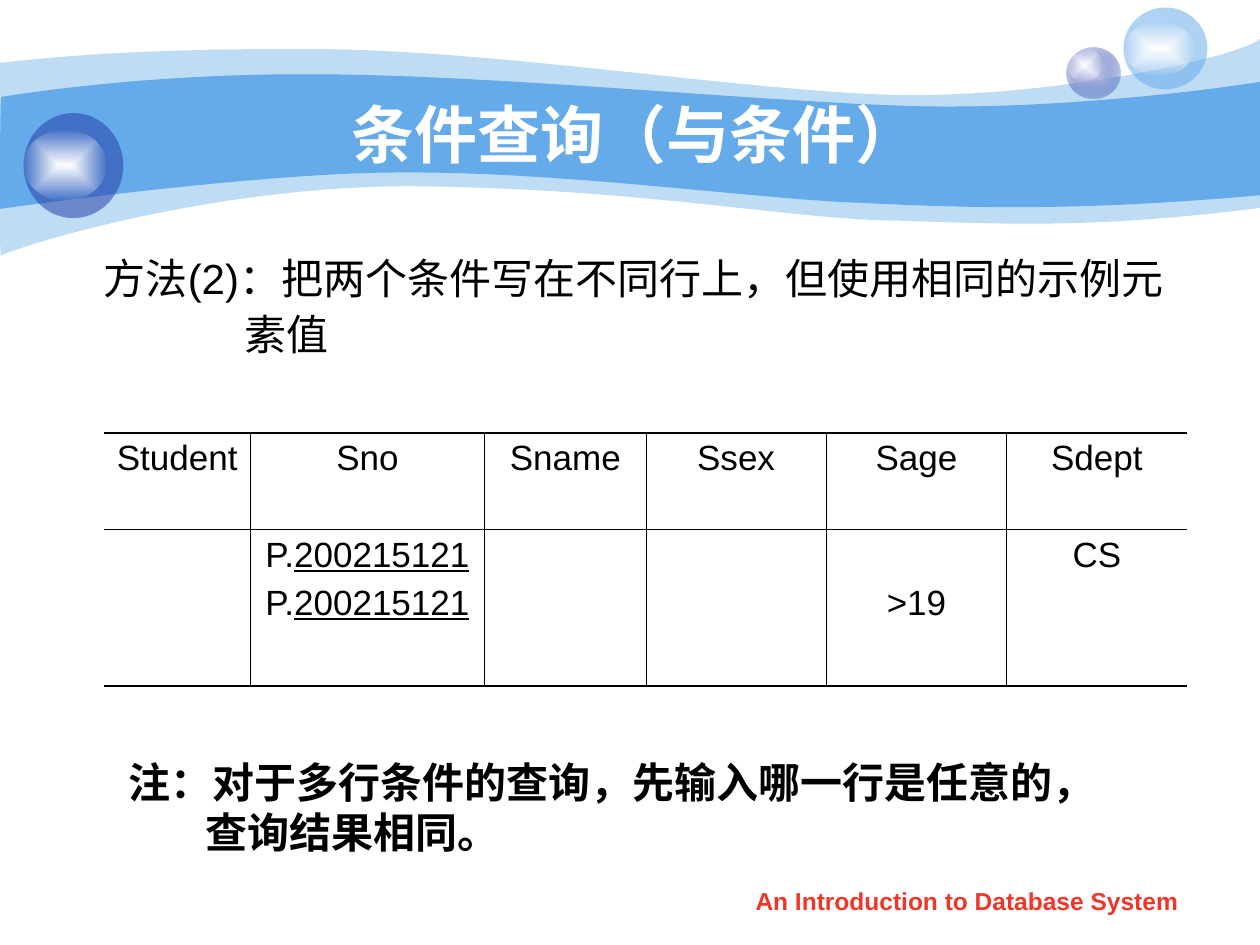
"""Build the slide on conditional queries joined by AND."""
import dataclasses

import lxml.etree
import pptx
import pptx.dml.color
import pptx.enum.shapes
import pptx.enum.text
import pptx.oxml.ns
import pptx.util

Pt = pptx.util.Pt
RGB = pptx.dml.color.RGBColor.from_string
qn = pptx.oxml.ns.qn
ALIGN = pptx.enum.text.PP_ALIGN
ANCHOR = pptx.enum.text.MSO_ANCHOR


@dataclasses.dataclass(frozen=True)
class Theme:
    black: str = "000000"
    white: str = "FFFFFF"
    clear: str = "FEFEFE"
    sky: str = "65AAE9"
    navy: str = "233DA9"
    lavender: str = "C6CCE8"
    red: str = "F03628"
    sans: str = "Arial"
    serif: str = "Times New Roman"
    title_size: int = 36
    text_size: int = 24
    table_size: int = 20
    footer_size: int = 14


theme = Theme()


def paint(shape, *stops):
    """Fill a shape with one colour or a centred gradient of (colour, opacity)."""
    if len(stops) == 1:
        shape.fill.solid()
        shape.fill.fore_color.rgb = RGB(stops[0][0])
    else:
        shape.fill.gradient()
        for stop, (color, opacity) in zip(shape.fill.gradient_stops, stops):
            stop.color.rgb = RGB(color)
        gradient = shape._element.spPr.find(qn("a:gradFill"))
        gradient.remove(gradient.find(qn("a:lin")))
        center = lxml.etree.SubElement(gradient, qn("a:path"), path="rect")
        lxml.etree.SubElement(center, qn("a:fillToRect"), l="50000", t="50000", r="50000", b="50000")
    for color, (name, opacity) in zip(list(shape._element.spPr.iter(qn("a:srgbClr"))), stops):
        if opacity < 100:
            lxml.etree.SubElement(color, qn("a:alpha"), val=str(opacity * 1000))
    shape.line.fill.background()
    shape.shadow.inherit = False


def add_run(paragraph, text, size, color, font=theme.sans, bold=False, underline=False):
    """Add one formatted run to a paragraph."""
    run = paragraph.add_run()
    run.text = text
    run.font.name = font
    run.font.size = Pt(size)
    run.font.bold = bold
    run.font.underline = underline
    run.font.color.rgb = RGB(color)


presentation = pptx.Presentation()
presentation.slide_width, presentation.slide_height = Pt(720), Pt(540)
slide = presentation.slides.add_slide(presentation.slide_layouts[6])

waves = [
    (41, (0, 36), [
        (17.3, 33.8, 77, 27.4, 177.8, 28.1), (277.9, 28.1, 414, 50.4, 503.3, 54),
        (591.8, 57.6, 705.6, 33.8, 720, 22.3), (720, 118.8),
        (617.8, 131.8, 566.6, 127.4, 507.6, 126), (447.8, 124.6, 370.8, 108.7, 247, 106.6),
        (123.8, 103.7, 2.9, 143.3, 0.7, 146.2), (-0.7, 149.8, 0, 54, 0, 36)]),
    (100, (0.7, 55.4), [
        (1.4, 55.4, 79.2, 41.8, 178.6, 42.5), (277.9, 42.5, 428.4, 57.6, 517, 60.5),
        (605.5, 63.4, 702.7, 49.7, 720, 46.8), (720, 111.6),
        (614.2, 121, 550.8, 118.8, 491, 115.9), (431.3, 113.8, 321.8, 97.9, 228.2, 98.6),
        (146.2, 98.6, -1.4, 119.5, -0.7, 119.5), (0, 119.5, 0, 55.4, 0.7, 55.4)]),
]
for opacity, start, segments in waves:
    points = [tuple(map(Pt, pair)) for segment in segments for pair in zip(segment[::2], segment[1::2])]
    builder = slide.shapes.build_freeform(*map(Pt, start))
    builder.add_line_segments(points, close=True)
    wave = builder.convert_to_shape()
    lines = iter(list(wave._element.iter(qn("a:lnTo"))))
    for segment in segments:
        if len(segment) == 2:
            next(lines)
            continue
        curve = lxml.etree.Element(qn("a:cubicBezTo"))
        first, second, third = next(lines), next(lines), next(lines)
        first.addprevious(curve)
        for line in (first, second, third):
            curve.append(line[0])
            line.getparent().remove(line)
    paint(wave, (theme.sky, opacity))

highlight = [(theme.white, 100), (theme.clear, 0)]
balls = [
    ((609.6, 27.1, 30.8, 29.1), [(theme.lavender, 100), (theme.navy, 31)], (609.6, 27.1, 20.2, 19.4)),
    ((642, 4.3, 48, 46.8), [(theme.sky, 53)], (642, 12.2, 40.3, 31)),
    ((13.5, 64.6, 56.9, 60), [(theme.navy, 53)], (13.5, 74.4, 47.5, 40.3)),
]
for ball_box, ball_stops, shine_box in balls:
    group = slide.shapes.add_group_shape()
    for box, stops in ((ball_box, ball_stops), (shine_box, highlight)):
        oval = group.shapes.add_shape(pptx.enum.shapes.MSO_SHAPE.OVAL, *map(Pt, box))
        paint(oval, *stops)

column_widths = [83.6, 133.9, 92.1, 103.1, 103.1, 103.1]
row_heights = [55.2, 89.5]
number = [("P.", False), ("200215121", True)]
rows = [
    [[[(name, False)]] for name in ("Student", "Sno", "Sname", "Ssex", "Sage", "Sdept")],
    [[], [number, number], [], [], [[(">19", False)]], [[("CS", False)]]],
]
second_line_top = 31.2
thick, thin = 1.08, 0.45
frame = slide.shapes.add_table(
    len(rows), len(column_widths), Pt(59.5), Pt(247.3), Pt(sum(column_widths)), Pt(sum(row_heights)))
table = frame.table
table.first_row = table.horz_banding = False
for column, width in zip(table.columns, column_widths):
    column.width = Pt(width)
for row, height in zip(table.rows, row_heights):
    row.height = Pt(height)
for row_index, row in enumerate(rows):
    for column_index, lines in enumerate(row):
        cell = table.cell(row_index, column_index)
        borders = {
            "a:lnL": thin if column_index > 0 else 0,
            "a:lnR": thin if column_index < len(row) - 1 else 0,
            "a:lnT": thick if row_index == 0 else thin,
            "a:lnB": thick if row_index == len(rows) - 1 else thin,
        }
        properties = cell._tc.get_or_add_tcPr()
        for tag, weight in borders.items():
            border = lxml.etree.SubElement(properties, qn(tag), w=str(Pt(weight)))
            if weight:
                fill = lxml.etree.SubElement(border, qn("a:solidFill"))
                lxml.etree.SubElement(fill, qn("a:srgbClr"), val=theme.black)
            else:
                lxml.etree.SubElement(border, qn("a:noFill"))
        cell.fill.background()
        if lines == [[(">19", False)]]:
            cell.margin_top = Pt(second_line_top)
        for line_index, line in enumerate(lines):
            cell_text = cell.text_frame
            paragraph = cell_text.add_paragraph() if line_index else cell_text.paragraphs[0]
            paragraph.alignment = ALIGN.CENTER
            paragraph.space_before = Pt(5 if line_index else 0)
            for text, underline in line:
                add_run(paragraph, text, theme.table_size, theme.black, underline=underline)

texts = [
    ((72, 54, 581.8, 44.6), ANCHOR.MIDDLE, True, ALIGN.CENTER, 1.0, 0,
     (theme.title_size, theme.white, theme.sans, True), [("条件查询（与条件）", 0)]),
    ((36, 144, 658.8, 137.5), ANCHOR.TOP, True, ALIGN.JUSTIFY, 0.9, 6,
     (theme.text_size, theme.black, theme.sans, False),
     [("方法(2)：把两个条件写在不同行上，但使用相同的示例元", 16.2), ("素值", 96.6)]),
    ((66.2, 428.7, 565.9, 93.6), ANCHOR.TOP, False, ALIGN.LEFT, 1.0, 0,
     (theme.text_size, theme.black, theme.serif, True),
     [("注：对于多行条件的查询，先输入哪一行是任意的，", 0), ("查询结果相同。", 44)]),
    ((410.8, 502.6, 283.7, 25.2), ANCHOR.TOP, True, ALIGN.CENTER, 1.0, 0,
     (theme.footer_size, theme.red, theme.sans, True), [("An Introduction to Database System", 0)]),
]
for box, anchor, wrap, alignment, spacing, gap, style, lines in texts:
    text_frame = slide.shapes.add_textbox(*map(Pt, box)).text_frame
    text_frame.word_wrap = wrap
    text_frame.vertical_anchor = anchor
    for line_index, (text, indent) in enumerate(lines):
        paragraph = text_frame.add_paragraph() if line_index else text_frame.paragraphs[0]
        paragraph.alignment = alignment
        paragraph.line_spacing = spacing
        paragraph.space_before = Pt(gap if line_index else 0)
        paragraph._p.get_or_add_pPr().set("marL", str(Pt(indent)))
        add_run(paragraph, text, *style)

presentation.save("out.pptx")
